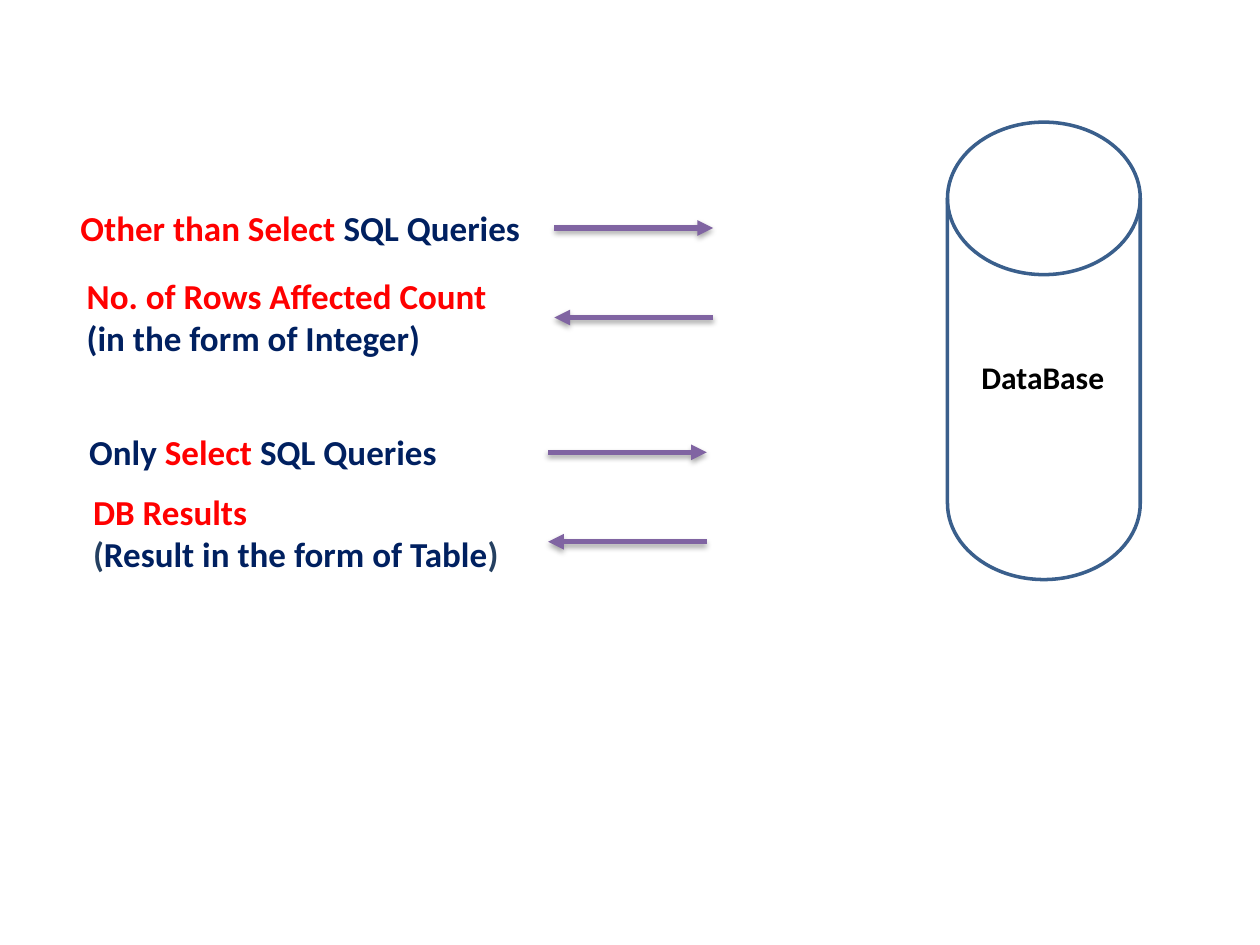
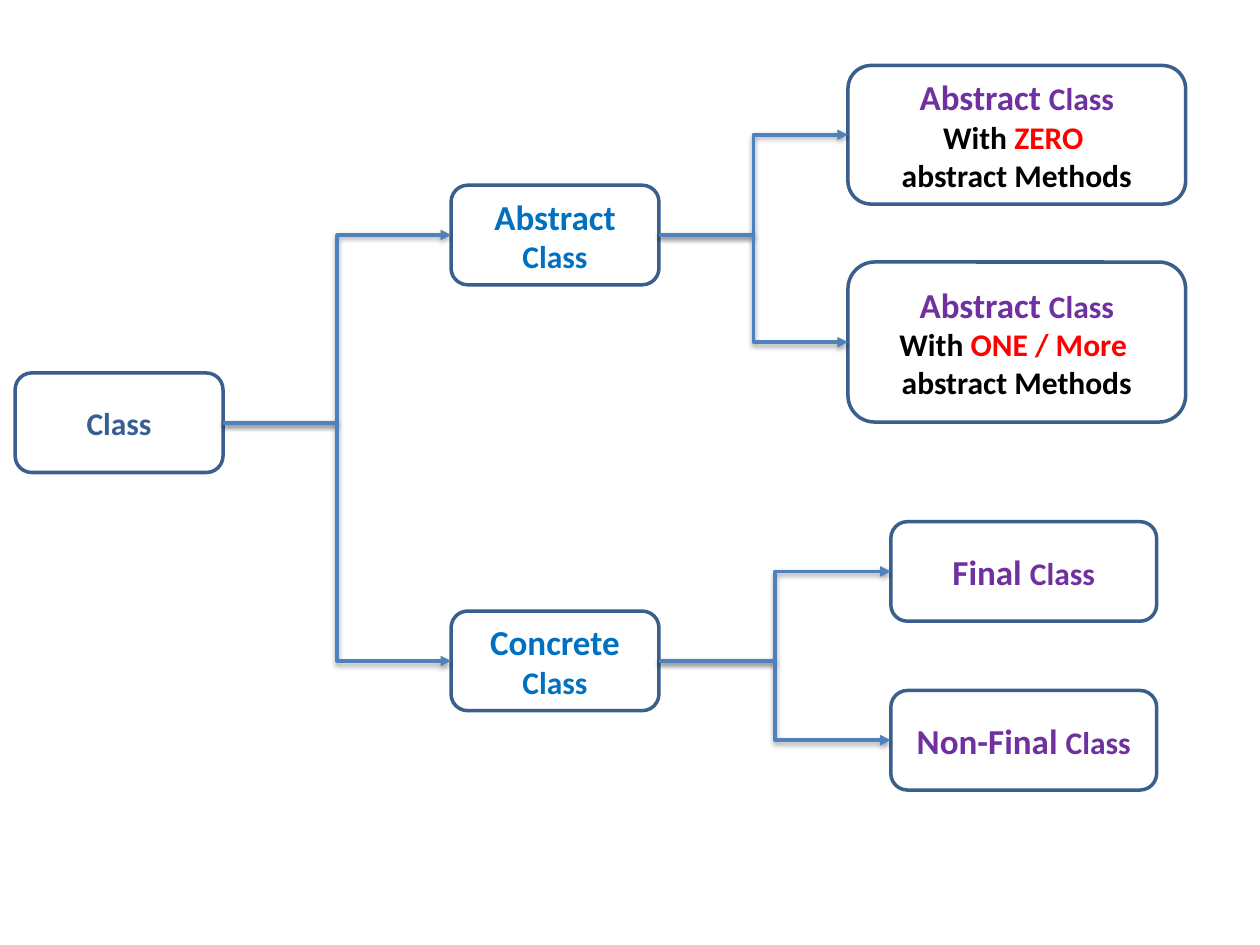
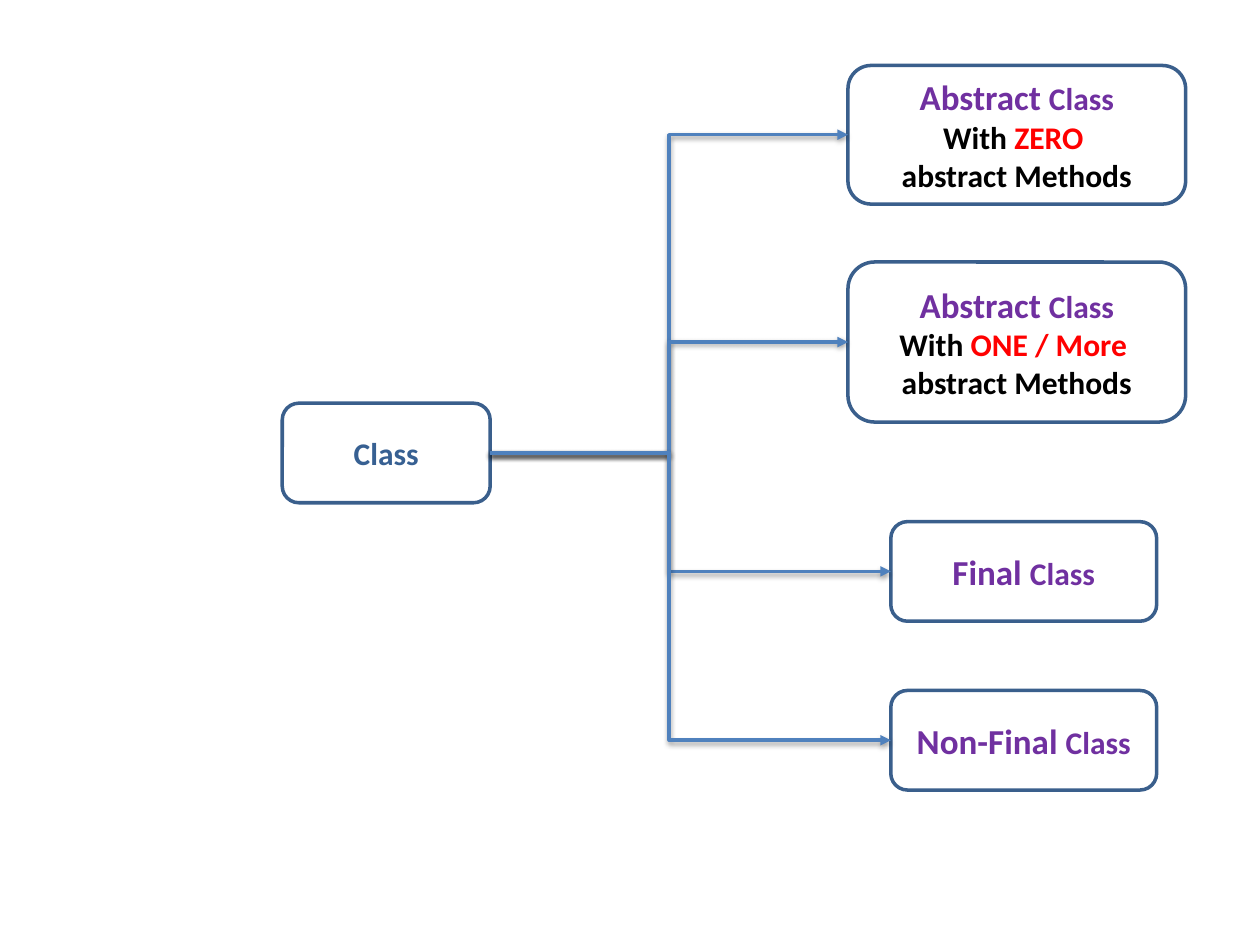
from dataclasses import dataclass

from lxml.etree import SubElement
from pptx import Presentation
from pptx.dml.color import RGBColor
from pptx.enum.shapes import MSO_CONNECTOR, MSO_SHAPE
from pptx.enum.text import MSO_AUTO_SIZE, PP_ALIGN
from pptx.oxml.ns import qn
from pptx.util import Pt

SCALE = 9144


@dataclass(frozen=True)
class Theme:
    """Colours, type sizes and line widths of the deck."""
    font: str = "Calibri"
    big: int = 20
    small: int = 18
    thin: int = 2
    thick: int = 3
    white: str = "FFFFFF"
    black: str = "000000"
    red: str = "FF0000"
    navy: str = "002060"
    slate: str = "254061"
    steel: str = "376092"
    azure: str = "0070C0"
    plum: str = "7030A0"
    edge: str = "3A5F8C"
    link: str = "4F81BD"
    arrow: str = "8064A2"


class Deck:
    """Holds the style and the current slide, and draws on it."""

    def __init__(self, theme):
        """Start an empty deck of 1000 by 750 px."""
        self.theme = theme
        self.show = Presentation()
        self.show.slide_width = 1000 * SCALE
        self.show.slide_height = 750 * SCALE
        self.slide = None

    def page(self):
        """Add a blank slide and make it current."""
        self.slide = self.show.slides.add_slide(self.show.slide_layouts[6])

    def put_text(self, frame, rows, align):
        """Fill a frame with rows of (text, size, colour) runs."""
        for i, row in enumerate(rows):
            para = frame.paragraphs[0] if i == 0 else frame.add_paragraph()
            para.alignment = align
            for text, size, tone in row:
                run = para.add_run()
                run.text = text
                run.font.name = self.theme.font
                run.font.size = Pt(size)
                run.font.bold = True
                run.font.color.rgb = RGBColor.from_string(tone)

    def label(self, area, rows, wrap=True):
        """Add a text box that grows with its text."""
        box = self.slide.shapes.add_textbox(*(n * SCALE for n in area))
        box.text_frame.word_wrap = wrap
        box.text_frame.auto_size = MSO_AUTO_SIZE.SHAPE_TO_FIT_TEXT
        self.put_text(box.text_frame, rows, PP_ALIGN.LEFT)

    def shape(self, kind, area, fill=None):
        """Add an outlined preset shape."""
        item = self.slide.shapes.add_shape(kind, *(n * SCALE for n in area))
        item.shadow.inherit = False
        if fill:
            item.fill.solid()
            item.fill.fore_color.rgb = RGBColor.from_string(fill)
        else:
            item.fill.background()
        item.line.color.rgb = RGBColor.from_string(self.theme.edge)
        item.line.width = Pt(self.theme.thin)
        return item

    def node(self, area, rows):
        """Add a rounded box with centred text."""
        box = self.shape(MSO_SHAPE.ROUNDED_RECTANGLE, area, self.theme.white)
        self.put_text(box.text_frame, rows, PP_ALIGN.CENTER)
        return box

    def ink(self, line, tone, width, tip, alpha, drop):
        """Give a connector its colour, arrowhead and soft shadow."""
        line.line.color.rgb = RGBColor.from_string(tone)
        line.line.width = Pt(width)
        props = line._element.spPr
        SubElement(props.get_or_add_ln(), qn(f"a:{tip}End"), type="triangle")
        glow = SubElement(SubElement(props, qn("a:effectLst")), qn("a:outerShdw"),
                          blurRad="40000", dist=str(drop), dir="5400000", rotWithShape="0")
        dark = SubElement(glow, qn("a:srgbClr"), val=self.theme.black)
        SubElement(dark, qn("a:alpha"), val=str(alpha * 1000))

    def arrow(self, left, top, tip):
        """Add a level arrow with its head at the head or tail end."""
        ends = (left, top, left + 126, top)
        line = self.slide.shapes.add_connector(
            MSO_CONNECTOR.STRAIGHT, *(n * SCALE for n in ends))
        self.ink(line, self.theme.arrow, self.theme.thick, tip, 35, 23000)

    def branch(self, root, kids):
        """Join a box to its children, bending halfway to the nearest."""
        start = root.left + root.width
        half = (min(kid.left for kid in kids) - start) / 2
        for kid in kids:
            line = self.slide.shapes.add_connector(
                MSO_CONNECTOR.ELBOW, start, root.top + root.height // 2,
                kid.left, kid.top + kid.height // 2)
            line.begin_connect(root, 3)
            line.end_connect(kid, 1)
            bend = round(half / (kid.left - start) * 100000)
            if bend != 50000:
                guides = line._element.spPr.find(qn("a:prstGeom")).find(qn("a:avLst"))
                SubElement(guides, qn("a:gd"), name="adj1", fmla=f"val {bend}")
            self.ink(line, self.theme.link, self.theme.thin, "tail", 38, 20000)


def query(deck):
    """Draw the queries sent to the database and what comes back."""
    t = deck.theme
    deck.page()
    deck.label((59, 213, 350, 77), [
        [("No. of Rows Affected Count", t.big, t.red)],
        [("(in the form of Integer)", t.big, t.navy)]])
    deck.label((64, 384, 345, 77), [
        [("DB Results", t.big, t.red)],
        [("(", t.big, t.slate), ("Result in the form of Table", t.big, t.navy),
         (")", t.big, t.slate)]], wrap=False)
    deck.shape(MSO_SHAPE.FLOWCHART_MAGNETIC_DISK, (752, 97, 153, 363))
    deck.label((769, 279, 119, 40), [[("DataBase", t.small, t.black)]], wrap=False)
    deck.label((54, 159, 379, 44), [
        [("Other than Select ", t.big, t.red), ("SQL Queries", t.big, t.navy)]])
    deck.label((61, 337, 374, 44), [
        [("Only ", t.big, t.navy), ("Select ", t.big, t.red),
         ("SQL Queries", t.big, t.navy)]])
    for left, top in ((440, 181), (435, 359)):
        deck.arrow(left, top, "tail")
        deck.arrow(left, top + 71, "head")


def base(deck, left, top):
    """Add the root class box."""
    t = deck.theme
    return deck.node((left, top, 165, 79), [[("Class", t.small, t.steel)]])


def leaves(deck):
    """Add the four kinds of class: two abstract, then two concrete."""
    t = deck.theme
    kind = ("Class", t.small, t.plum)
    boxes = []
    for top, high, count in ((52, 110, "ZERO "), (208, 127, "ONE / More ")):
        boxes.append(deck.node((673, top, 268, high), [
            [("Abstract ", t.big, t.plum), kind],
            [("With ", t.small, t.black), (count, t.small, t.red)],
            [("abstract Methods", t.small, t.black)]]))
    for top, name in ((414, "Final "), (548, "Non-Final ")):
        boxes.append(deck.node((707, top, 211, 79), [[(name, t.big, t.plum), kind]]))
    return boxes


def tree(deck):
    """Draw the class tree with its middle level."""
    t = deck.theme
    deck.page()
    root = base(deck, 12, 296)
    mids = [deck.node((358, top, 165, 79), [
        [(name, t.big, t.azure)], [("Class", t.small, t.azure)]])
        for top, name in ((147, "Abstract"), (485, "Concrete"))]
    ends = leaves(deck)
    deck.branch(root, mids)
    deck.branch(mids[0], ends[:2])
    deck.branch(mids[1], ends[2:])


def flat(deck):
    """Draw the class tree without its middle level."""
    deck.page()
    root = base(deck, 224, 320)
    deck.branch(root, leaves(deck))


def main():
    """Build the deck and save it."""
    deck = Deck(Theme())
    query(deck)
    tree(deck)
    flat(deck)
    deck.show.save("out.pptx")


if __name__ == "__main__":
    main()
